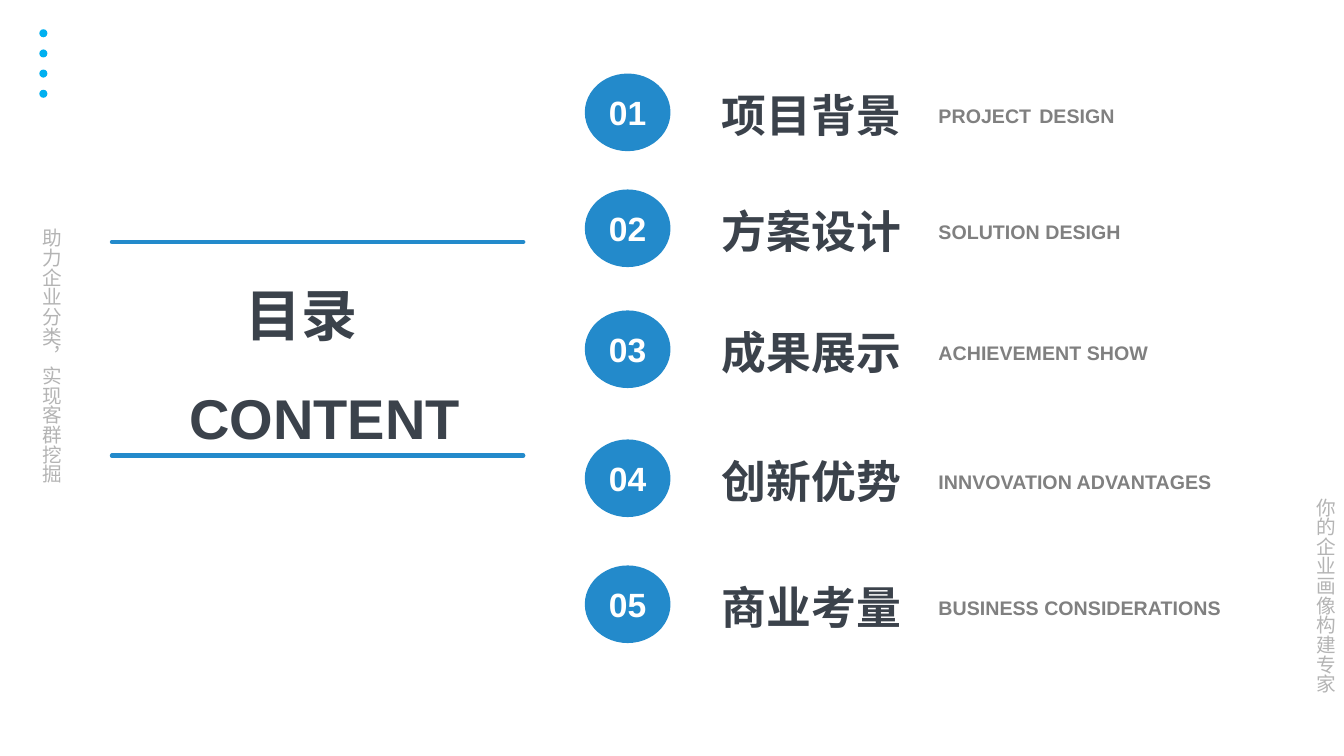
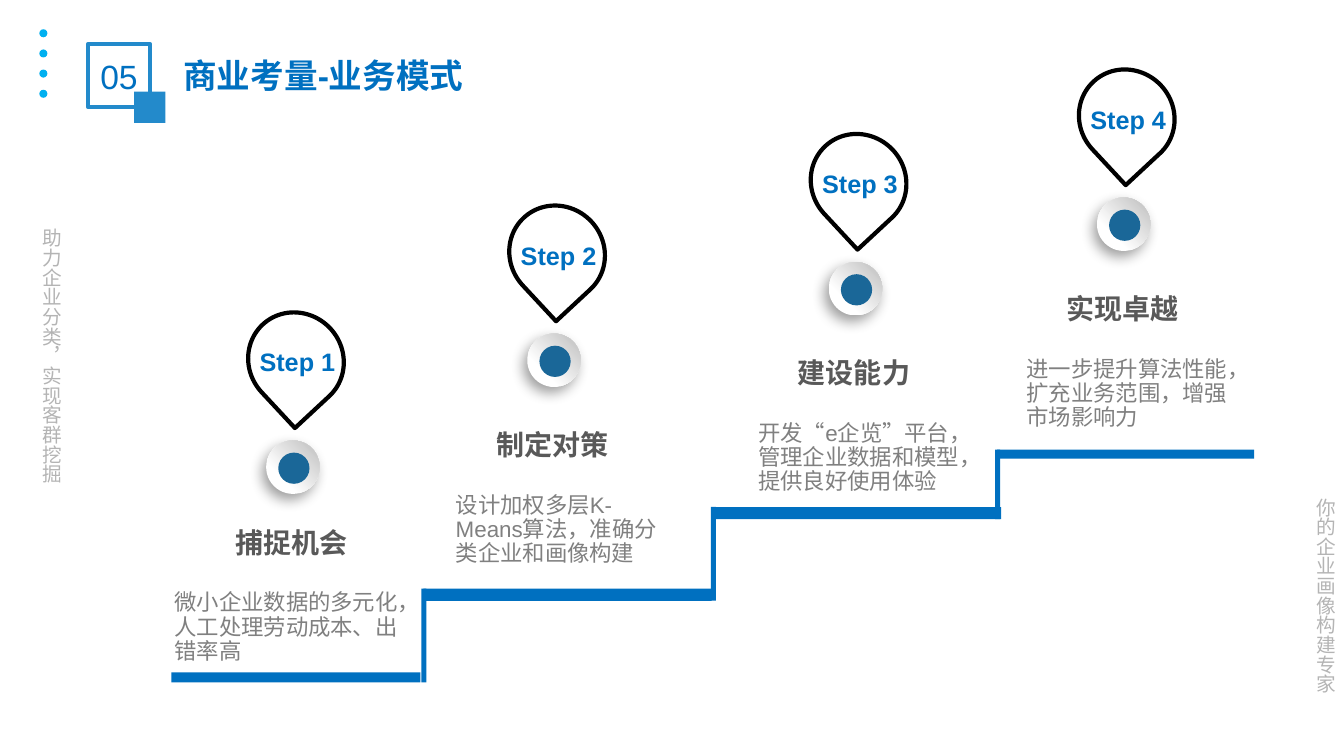
from lxml import etree
from pptx import Presentation
from pptx.dml.color import RGBColor
from pptx.enum.shapes import MSO_CONNECTOR, MSO_SHAPE
from pptx.enum.text import MSO_ANCHOR, PP_ALIGN
from pptx.oxml.ns import qn
from pptx.util import Inches, Pt

OVAL, RECT, TEAR = MSO_SHAPE.OVAL, MSO_SHAPE.RECTANGLE, MSO_SHAPE.TEAR
STRAIGHT = MSO_CONNECTOR.STRAIGHT
LEFT, CENTER = PP_ALIGN.LEFT, PP_ALIGN.CENTER
TOP, MIDDLE = MSO_ANCHOR.TOP, MSO_ANCHOR.MIDDLE

WHITE = RGBColor(0xFF, 0xFF, 0xFF)
BLACK = RGBColor(0x00, 0x00, 0x00)
BLUE = RGBColor(0x23, 0x8A, 0xCB)
DEEP_BLUE = RGBColor(0x00, 0x70, 0xC0)
DOT_BLUE = RGBColor(0x00, 0xB0, 0xF0)
CORE_BLUE = RGBColor(0x1A, 0x67, 0x98)
INK = RGBColor(0x3B, 0x42, 0x4B)
HEADING = RGBColor(0x59, 0x59, 0x59)
GRAY = RGBColor(0x80, 0x80, 0x80)
PALE = RGBColor(0xB4, 0xB4, 0xB4)
SILVER = RGBColor(0xBF, 0xBF, 0xBF)

LATIN, CJK = "Arial", "Noto Sans CJK SC"
WIDTH, HEIGHT = 13.33, 7.5
SLIM = (0.08, 0.04)

# number, circle top, title, caption
CONTENTS = [
    ("01", 0.73, "项目背景", "PROJECT\tDESIGN"),
    ("02", 1.88, "方案设计", "SOLUTION DESIGH"),
    ("03", 3.08, "成果展示", "ACHIEVEMENT SHOW"),
    ("04", 4.36, "创新优势", "INNVOVATION ADVANTAGES"),
    ("05", 5.61, "商业考量", "BUSINESS CONSIDERATIONS"),
]

# pin left, pin top, heading offset, body left, body width, heading, body
STEPS = [
    (2.47, 3.09, 2.08, 1.65, 2.39, "捕捉机会",
     "微小企业数据的多元化，人工处理劳动成本、出错率高"),
    (5.06, 2.03, 2.17, 4.44, 2.18, "制定对策",
     "设计加权多层K-Means算法，准确分类企业和画像构建"),
    (8.05, 1.32, 2.17, 7.44, 2.18, "建设能力",
     "开发“e企览”平台，管理企业数据和模型，提供良好使用体验"),
    (10.71, 0.68, 2.17, 10.1, 2.18, "实现卓越",
     "进一步提升算法性能，扩充业务范围，增强市场影响力"),
]

# left, top, width, height of each stair
TREADS = [
    (1.7, 6.67, 2.47, 0.1),
    (4.2, 5.84, 2.86, 0.12),
    (7.07, 5.03, 2.86, 0.12),
    (9.89, 4.46, 2.55, 0.09),
]


def write(shape, text, size, color, bold=False, align=LEFT, anchor=TOP,
          insets=(0.1, 0.05), spacing=None, font=LATIN):
    tf = shape.text_frame
    tf.word_wrap = True
    tf.vertical_anchor = anchor
    tf.margin_left = tf.margin_right = Inches(insets[0])
    tf.margin_top = tf.margin_bottom = Inches(insets[1])
    p = tf.paragraphs[0]
    p.add_run().text = text
    p.alignment = align
    if spacing:
        p.line_spacing = spacing
    p.font.size = Pt(size)
    p.font.bold = bold
    p.font.color.rgb = color
    p.font.name = font
    props = p._p.pPr.find(qn("a:defRPr"))
    etree.SubElement(props, qn("a:ea"), typeface=CJK)
    return tf


def add_text(s, box, text, size, color, **style):
    return write(s.shapes.add_textbox(*map(Inches, box)), text, size, color, **style)


def add_shape(s, kind, box, fill=None, line=None):
    shape = s.shapes.add_shape(kind, *map(Inches, box))
    shape.shadow.inherit = False
    if fill is None:
        shape.fill.background()
    else:
        shape.fill.solid()
        shape.fill.fore_color.rgb = fill
    if line is None:
        shape.line.fill.background()
    else:
        shape.line.color.rgb = line
        shape.line.width = Pt(3)
    return shape


def add_rule(s, left, y, width):
    rule = s.shapes.add_connector(
        STRAIGHT, Inches(left), Inches(y), Inches(left + width), Inches(y))
    rule.line.color.rgb = BLUE
    rule.line.width = Pt(3)
    props = rule._element.spPr
    props.find(qn("a:ln")).set("cap", "rnd")
    etree.SubElement(props, qn("a:effectLst"))


def add_soft_shadow(shape):
    effects = shape._element.spPr.find(qn("a:effectLst"))
    shadow = etree.SubElement(
        effects, qn("a:outerShdw"), blurRad=str(Pt(10)), dist=str(Pt(5)),
        dir=str(123 * 60000), algn="ctr", rotWithShape="0")
    color = etree.SubElement(shadow, qn("a:srgbClr"), val=str(BLACK))
    etree.SubElement(color, qn("a:alpha"), val="39000")


def add_slide(prs):
    """Blank slide with the shared dots and vertical side lines."""
    s = prs.slides.add_slide(prs.slide_layouts[6])
    for i in range(4):
        add_shape(s, OVAL, (0.39, 0.29 + i * 0.2, 0.08, 0.08), DOT_BLUE)
    for box, text in [((0.24, 2.17, 0.44, 2.8), "助力企业分类，实现客群挖掘"),
                      ((12.87, 4.84, 0.44, 2.36), "你的企业画像构建专家")]:
        tf = add_text(s, box, text, 14, PALE, font=CJK)
        tf._txBody.bodyPr.set("vert", "eaVert")
    return s


def contents_title(s, left, top, width, height):
    for y in (top, top + height):
        add_rule(s, left, y, width)
    style = dict(bold=True, align=CENTER, anchor=MIDDLE)
    add_text(s, (left, top + 0.32, width - 0.32, 0.8), "目录", 40, INK, **style)
    add_text(s, (left, top + 1.34, width + 0.14, 0.8), "CONTENT", 40, INK, **style)


def contents_row(s, left, top, number, title, caption):
    circle = add_shape(s, OVAL, (left, top, 0.85, 0.77), BLUE)
    write(circle, number, 24, WHITE, bold=True, align=CENTER, anchor=MIDDLE)
    add_text(s, (left + 1.26, top + 0.09, 2.1, 0.64), title, 32, INK, bold=True)
    add_text(s, (left + 3.41, top + 0.25, 3.13, 0.34), caption, 14, GRAY, bold=True)


def slide_title(s, left, top, number, title):
    badge = add_shape(s, RECT, (left, top, 0.62, 0.62), line=BLUE)
    write(badge, number, 24, DEEP_BLUE, align=CENTER, anchor=MIDDLE, insets=SLIM)
    add_shape(s, RECT, (left + 0.46, top + 0.47, 0.31, 0.31), BLUE)
    add_text(s, (left + 0.85, top + 0.06, 4.05, 0.5), title, 24, DEEP_BLUE, bold=True)


def staircase(s, treads):
    for tread in treads:
        add_shape(s, RECT, tread, DEEP_BLUE)
    # Risers join each tread to the next
    for lower, upper in zip(treads, treads[1:]):
        rise = lower[1] + lower[3] - upper[1]
        add_shape(s, RECT, (upper[0] - 0.02, upper[1], 0.05, rise), DEEP_BLUE)


def step(s, number, left, top, drop, body_left, body_width, heading, body):
    # Button under the pin
    ring = add_shape(s, OVAL, (left + 0.17, top + 1.28, 0.53, 0.53), WHITE)
    ring.fill.gradient()
    ring.fill.gradient_angle = 45
    for stop, color, position in zip(
            ring.fill.gradient_stops, (WHITE, SILVER), (0.29, 0.98)):
        stop.color.rgb = color
        stop.position = position
    add_soft_shadow(ring)
    add_shape(s, OVAL, (left + 0.29, top + 1.4, 0.31, 0.31), CORE_BLUE)
    # Pin and its label
    pin = add_shape(s, TEAR, (left, top, 0.93, 0.97), WHITE, BLACK)
    pin.rotation = 137.1
    add_text(s, (left - 0.02, top + 0.31, 1, 0.38), f"Step {number}", 18,
             DEEP_BLUE, bold=True, align=CENTER, insets=SLIM)
    # Heading and description
    add_text(s, (left - 0.27, top + drop, 1.38, 0.41), heading, 20, HEADING,
             bold=True, align=CENTER, insets=SLIM)
    add_text(s, (body_left, top + drop + 0.66, body_width, 0.6), body, 16, GRAY,
             insets=SLIM, spacing=0.9)


def contents_slide(prs):
    s = add_slide(prs)
    contents_title(s, 1.11, 2.4, 4.08, 2.12)
    for number, top, title, caption in CONTENTS:
        contents_row(s, 5.8, top, number, title, caption)


def steps_slide(prs):
    s = add_slide(prs)
    slide_title(s, 0.87, 0.44, "05", "商业考量-业务模式")
    staircase(s, TREADS)
    for number, parts in enumerate(STEPS, 1):
        step(s, number, *parts)


def main():
    prs = Presentation()
    prs.slide_width, prs.slide_height = Inches(WIDTH), Inches(HEIGHT)
    contents_slide(prs)
    steps_slide(prs)
    prs.save("out.pptx")


if __name__ == "__main__":
    main()
